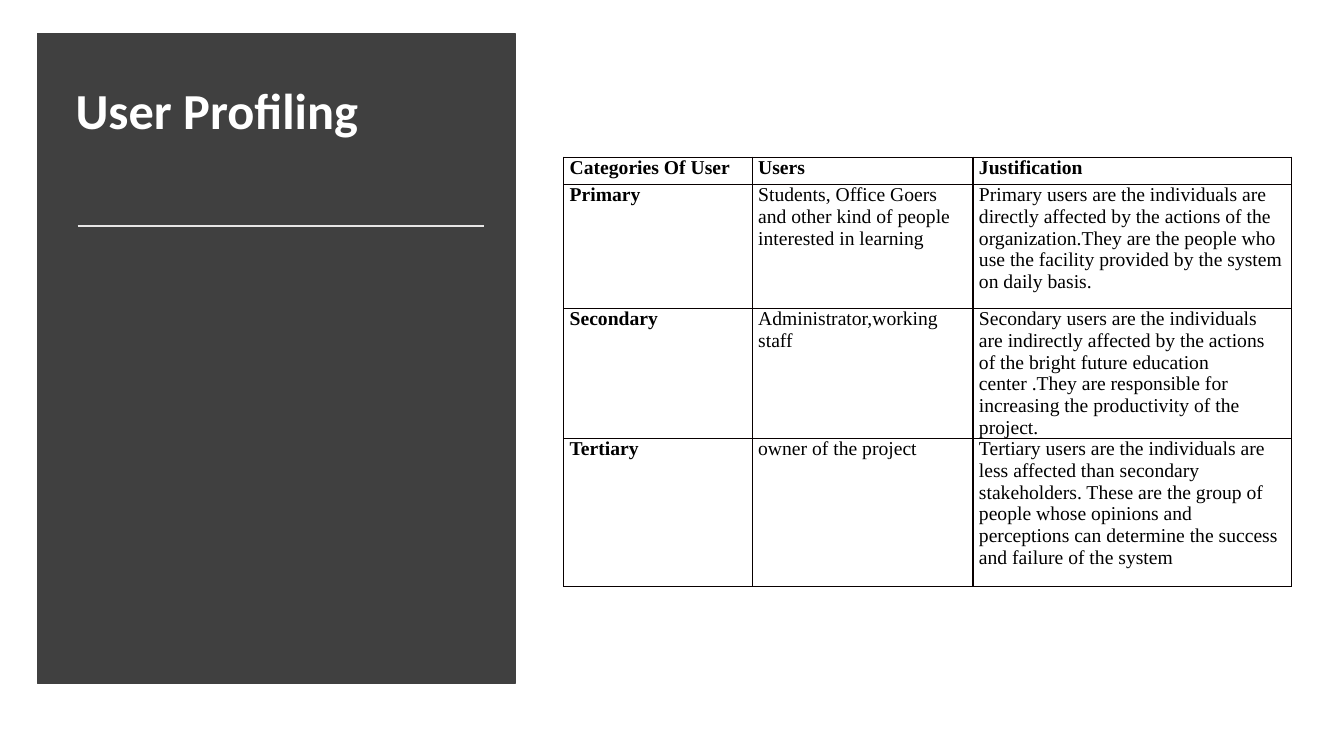
import pptx
import pptx.util
import pptx.dml.color
import pptx.enum.shapes
import pptx.enum.text
import pptx.oxml
import pptx.oxml.ns
from pptx.util import Inches

RGBColor = pptx.dml.color.RGBColor
CHARCOAL = RGBColor(0x40, 0x40, 0x40)
WHITE = RGBColor(0xFF, 0xFF, 0xFF)
BLACK = RGBColor(0, 0, 0)
PALE_GREY = RGBColor(0xE7, 0xE6, 0xE6)
BORDER = RGBColor(0x08, 0, 0)

HEADING = "User Profiling"
PROFILES = [
    ("Categories Of User", "Users", "Justification"),
    ("Primary",
     "Students, Office Goers and other kind of people interested in learning",
     "Primary users are the individuals are directly affected by the actions of the "
     "organization.They are the people who use the facility provided by the system "
     "on daily basis."),
    ("Secondary",
     "Administrator,working staff",
     "Secondary users are the individuals are indirectly affected by the actions of "
     "the bright future education center .They are responsible for increasing the "
     "productivity of the project."),
    ("Tertiary",
     "owner of the project",
     "Tertiary users are the individuals are less affected than secondary "
     "stakeholders. These are the group of people whose opinions and perceptions can "
     "determine the success and failure of the system"),
]
COLUMN_WIDTHS = (1.87, 2.19, 3.16)
ROW_HEIGHTS = (0.27, 1.23, 1.23, 1.47)


def write(frame, text, *, font, size, color, bold=False, spacing=1.0):
    paragraph = frame.paragraphs[0]
    paragraph.text = text
    paragraph.alignment = pptx.enum.text.PP_ALIGN.LEFT
    paragraph.line_spacing = spacing
    paragraph.font.name = font
    paragraph.font.size = pptx.util.Pt(size)
    paragraph.font.bold = bold
    paragraph.font.color.rgb = color


def outline(cell):
    properties = cell._tc.get_or_add_tcPr()
    for position, side in enumerate(("lnL", "lnR", "lnT", "lnB")):
        edge = pptx.oxml.parse_xml(
            f'<a:{side} {pptx.oxml.ns.nsdecls("a")} w="{pptx.util.Pt(1)}">'
            f'<a:solidFill><a:srgbClr val="{BORDER}"/></a:solidFill></a:{side}>')
        properties.insert(position, edge)


def add_panel(slide):
    panel = slide.shapes.add_shape(
        pptx.enum.shapes.MSO_SHAPE.RECTANGLE,
        Inches(0.37), Inches(0.33), Inches(4.74), Inches(6.45))
    panel.shadow.inherit = False
    panel.fill.solid()
    panel.fill.fore_color.rgb = CHARCOAL
    panel.line.color.rgb = CHARCOAL
    panel.line.width = pptx.util.Pt(1)
    slide.shapes.element.insert(2, panel.element)


def add_heading(slide):
    heading = slide.shapes.title
    heading.left, heading.top = Inches(0.65), Inches(0.7)
    heading.width, heading.height = Inches(4.18), Inches(1.47)
    frame = heading.text_frame
    frame.word_wrap = True
    frame.vertical_anchor = pptx.enum.text.MSO_ANCHOR.TOP
    frame.margin_top = Inches(0.15)
    write(frame, HEADING, font="Calibri", size=36, color=WHITE, bold=True, spacing=0.9)


def add_divider(slide):
    divider = slide.shapes.add_connector(
        pptx.enum.shapes.MSO_CONNECTOR.STRAIGHT,
        Inches(0.77), Inches(2.24), Inches(4.8), Inches(2.24))
    divider.line.color.rgb = PALE_GREY
    divider.line.width = pptx.util.Pt(1.75)
    divider.element.spPr.append(
        pptx.oxml.parse_xml(f'<a:effectLst {pptx.oxml.ns.nsdecls("a")}/>'))


def add_profiles(slide):
    profiles = slide.shapes.add_table(
        len(ROW_HEIGHTS), len(COLUMN_WIDTHS), Inches(5.59), Inches(1.56),
        Inches(sum(COLUMN_WIDTHS)), Inches(sum(ROW_HEIGHTS))).table
    profiles.first_row = False
    profiles.horz_banding = False
    for column, width in zip(profiles.columns, COLUMN_WIDTHS):
        column.width = Inches(width)
    for row, height in zip(profiles.rows, ROW_HEIGHTS):
        row.height = Inches(height)
    for r, entries in enumerate(PROFILES):
        for c, entry in enumerate(entries):
            cell = profiles.cell(r, c)
            cell.margin_left = cell.margin_right = Inches(0.06)
            cell.margin_top = cell.margin_bottom = 0
            cell.fill.background()
            outline(cell)
            write(cell.text_frame, entry, font="Times New Roman", size=14,
                  color=BLACK, bold=r == 0 or c == 0)


def main():
    deck = pptx.Presentation()
    deck.slide_width, deck.slide_height = Inches(13.33), Inches(7.5)
    slide = deck.slides.add_slide(deck.slide_layouts[5])
    add_panel(slide)
    add_heading(slide)
    add_divider(slide)
    add_profiles(slide)
    deck.save("out.pptx")


if __name__ == "__main__":
    main()
